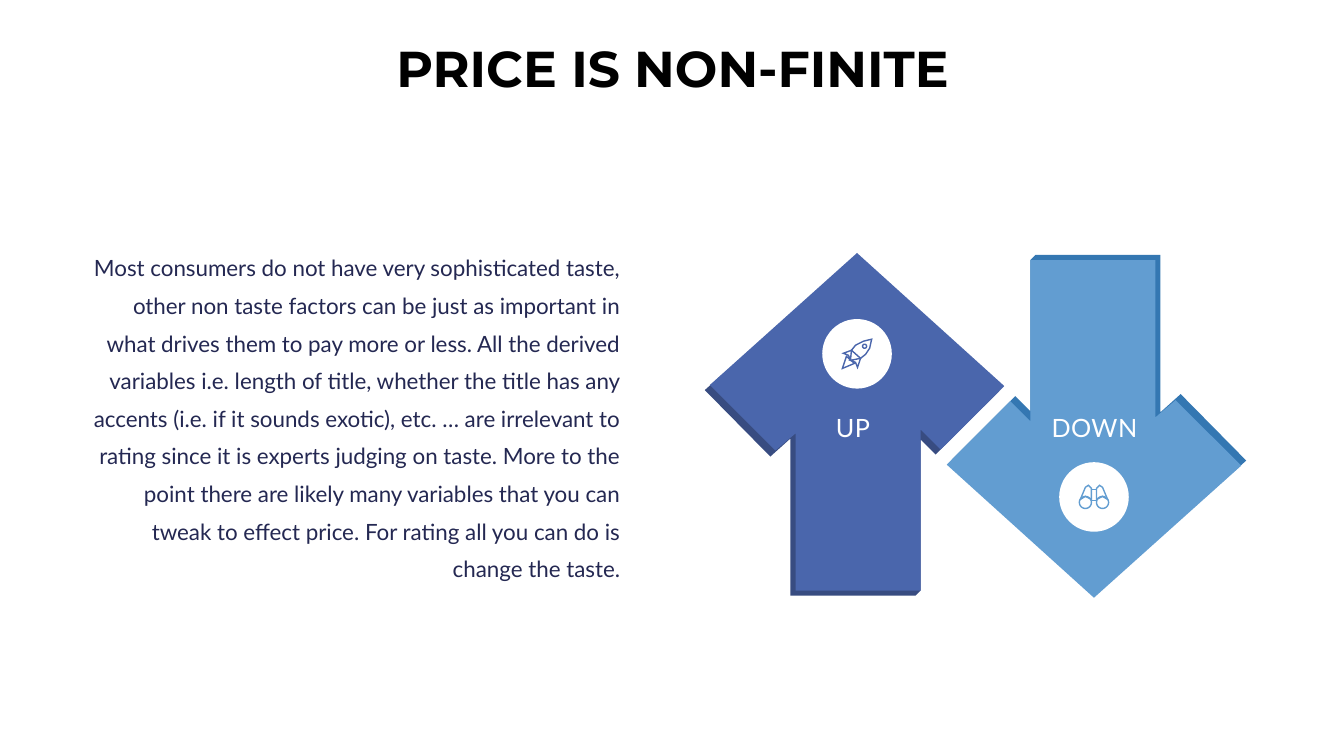
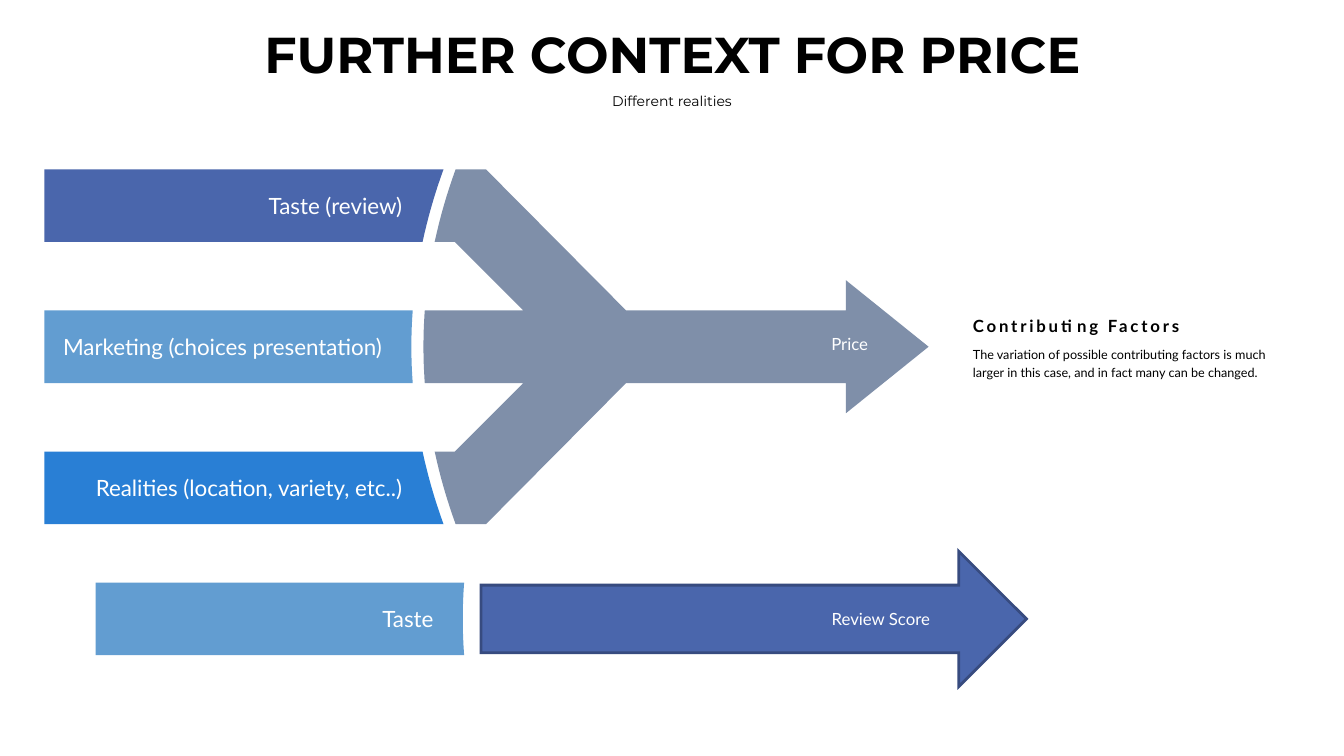
from math import cos, pi, sin

from lxml.etree import SubElement
from pptx import Presentation
from pptx.dml.color import RGBColor
from pptx.enum.shapes import MSO_SHAPE
from pptx.enum.text import MSO_ANCHOR, MSO_AUTO_SIZE, PP_ALIGN
from pptx.oxml.ns import qn
from pptx.util import Inches, Pt

BLACK, WHITE, NAVY = "000000", "FFFFFF", "242852"
INDIGO, SKY, AZURE, SLATE = "4A66AC", "629DD1", "297FD5", "7F8FA9"
INDIGO_SIDE, SKY_SIDE, INDIGO_LINE = "384C81", "3477B2", "374B7F"
BODY_FONT, TITLE_FONT = "Lato", "Montserrat"
TITLE_ONLY_LAYOUT = 5

ARROW_WIDTH, ARROW_HEIGHT, DISC_SIZE = 2.92, 3.35, 0.69
ARROW_FACE = [(1.46, 0), (2.92, 1.32), (2.29, 1.95), (2.09, 1.75), (2.09, 3.35),
              (0.85, 3.35), (0.85, 1.79), (0.65, 1.96), (0, 1.31)]
ARROW_SIDE = [(1.41, 0.06), (2.87, 1.37), (2.24, 2), (2.09, 1.85), (2.09, 3.35),
              (2.04, 3.4), (0.8, 3.4), (0.8, 1.84), (0.6, 2.02), (-0.05, 1.36)]
BAR_HEIGHT, BAR_LENGTH, EDGE_CURVE = 0.72, 3.64, 0.103


def circle(center_x, center_y, radius, steps=24):
    """Return points around a circle."""
    angles = [2 * pi * step / steps for step in range(steps)]
    return [(center_x + radius * cos(angle), center_y + radius * sin(angle)) for angle in angles]


def mirror(points, width):
    """Return points mirrored from left to right within a width."""
    return [(width - x, y) for x, y in points]


ICON_WIDTH = 0.31
ROCKET = [
    [(0.3, 0.01), (0.22, 0.03), (0.14, 0.07), (0.1, 0.12), (0.19, 0.2), (0.24, 0.16), (0.28, 0.1)],
    [(0.1, 0.12), (0.02, 0.15), (0.07, 0.17), (0.09, 0.22)],
    [(0.19, 0.2), (0.16, 0.29), (0.14, 0.24), (0.09, 0.22)],
    [(0.05, 0.18), (0.01, 0.3), (0.13, 0.25)],
    circle(0.23, 0.08, 0.02),
]
LENS = circle(0.07, 0.18, 0.06)
BARREL = [(0.02, 0.15), (0.07, 0.03), (0.1, 0.01), (0.13, 0.04), (0.13, 0.15), (0.07, 0.12)]
BINOCULARS = [LENS, mirror(LENS, ICON_WIDTH), BARREL, mirror(BARREL, ICON_WIDTH),
              [(0.13, 0.05), (0.18, 0.05), (0.18, 0.16), (0.13, 0.16)]]


def color(value):
    """Turn a hex string into a colour."""
    return RGBColor.from_string(value)


def paint(shape, fill=None, line=None, line_width=1):
    """Give a shape its fill and sharp-cornered line, without a shadow."""
    shape.shadow.inherit = False
    if fill:
        shape.fill.solid()
        shape.fill.fore_color.rgb = color(fill)
    else:
        shape.fill.background()
    if line:
        shape.line.color.rgb = color(line)
        shape.line.width = Pt(line_width)
        SubElement(shape._element.spPr.find(qn("a:ln")), qn("a:miter"), lim="800000")
    else:
        shape.line.fill.background()
    return shape


def add_preset(slide, kind, box, **style):
    """Add a painted preset shape."""
    shape = slide.shapes.add_shape(kind, *[Inches(length) for length in box])
    return paint(shape, **style)


def add_outline(slide, contours, origin, **style):
    """Add one painted shape from closed contours relative to an origin."""
    places = [[(Inches(origin[0] + x), Inches(origin[1] + y)) for x, y in contour]
              for contour in contours]
    builder = slide.shapes.build_freeform(*places[0][0])
    for index, contour in enumerate(places):
        if index:
            builder.move_to(*contour[0])
        builder.add_line_segments(contour[1:], close=True)
    return paint(builder.convert_to_shape(), **style)


def format_paragraph(paragraph, size, font=BODY_FONT, fill=BLACK, bold=False,
                     align=PP_ALIGN.LEFT, line_spacing=1.0, tracking=0):
    """Set the look of one paragraph."""
    paragraph.alignment = align
    paragraph.line_spacing = line_spacing
    paragraph.font.size = Pt(size)
    paragraph.font.name = font
    paragraph.font.bold = bold
    paragraph.font.color.rgb = color(fill)
    for run in paragraph.runs:
        if tracking:
            run.font._element.set("spc", str(round(tracking * 100)))


def add_text(slide, box, text, size, margin=0.1, **style):
    """Add a wrapping text box with one paragraph."""
    frame = slide.shapes.add_textbox(*[Inches(length) for length in box]).text_frame
    frame.word_wrap = True
    frame.margin_left = frame.margin_right = Inches(margin)
    frame.text = text
    format_paragraph(frame.paragraphs[0], size, **style)
    return frame


def set_label(shape, text, size, right, top=0.05):
    """Write a white label at the right end of a shape."""
    frame = shape.text_frame
    frame.word_wrap = True
    frame.vertical_anchor = MSO_ANCHOR.MIDDLE
    frame.margin_right = Inches(right)
    frame.margin_top = Inches(top)
    frame.text = text
    format_paragraph(frame.paragraphs[0], size, fill=WHITE, align=PP_ALIGN.RIGHT)


def add_titled_slide(presentation, text, top):
    """Add a slide with its centred title."""
    slide = presentation.slides.add_slide(presentation.slide_layouts[TITLE_ONLY_LAYOUT])
    title = slide.shapes.title
    title.left, title.top = Inches(2.17), Inches(top)
    title.width, title.height = Inches(9), Inches(0.7)
    frame = title.text_frame
    frame.auto_size = MSO_AUTO_SIZE.NONE
    frame.vertical_anchor = MSO_ANCHOR.TOP
    frame.text = text
    format_paragraph(frame.paragraphs[0], 36, font=TITLE_FONT, bold=True, align=PP_ALIGN.CENTER)
    return slide


def draw_block_arrow(slide, left, top, label, label_box, face, side, icon, icon_height,
                     flipped=False):
    """Draw a solid-looking arrow with an icon and a label, pointing up unless flipped."""
    def turn(points):
        """Turn points half round when the arrow is flipped."""
        return [(ARROW_WIDTH - x, ARROW_HEIGHT - y) for x, y in points] if flipped else points

    add_outline(slide, [turn(ARROW_SIDE)], (left, top), fill=side)
    add_outline(slide, [turn(ARROW_FACE)], (left, top), fill=face)
    icon_x, icon_y = turn([(1.46, 1)])[0]
    center_x, center_y = left + icon_x, top + icon_y
    add_preset(slide, MSO_SHAPE.OVAL, (center_x - DISC_SIZE / 2, center_y - DISC_SIZE / 2,
                                       DISC_SIZE, DISC_SIZE), fill=WHITE)
    add_outline(slide, icon, (center_x - ICON_WIDTH / 2, center_y - icon_height / 2), line=face)
    label_left, label_top, label_width, label_height = label_box
    add_text(slide, (left + label_left, top + label_top, label_width, label_height), label, 18,
             fill=WHITE, align=PP_ALIGN.CENTER, tracking=0.3)


def curved_edge(start, end, steps=8):
    """Return points of the shared curve between two heights from its middle."""
    heights = [start + (end - start) * step / steps for step in range(steps + 1)]
    return [(EDGE_CURVE * height ** 2, height) for height in heights]


def draw_bar(slide, left, top, center, label, fill, label_gap):
    """Draw a labelled bar whose right end follows the curve around a centre height."""
    edge = [(BAR_LENGTH + x, y + center - top)
            for x, y in curved_edge(top - center, top + BAR_HEIGHT - center)]
    bar = add_outline(slide, [[(0, BAR_HEIGHT), (0, 0)] + edge], (left, top), fill=fill)
    reach = max(x for x, _ in edge)
    set_label(bar, label, 16, reach - BAR_LENGTH + label_gap)


def draw_merging_arrow(slide, left, center, label):
    """Draw three branches that merge into one labelled arrow."""
    lower = (curved_edge(0, 0.36) + [(0.99, 0.36), (0.31, 1.04)] + curved_edge(1.04, 1.76)
             + [(0.62, 1.76), (2.01, 0.36), (4.19, 0.36), (4.19, 0.66), (5.01, 0)])
    upper = [(x, -y) for x, y in reversed(lower[1:-1])]
    arrow = add_outline(slide, [lower + upper], (left, center), fill=SLATE)
    set_label(arrow, label, 12, 0.6, top=0)


def draw_factors(slide, left, top):
    """Write the heading and text beside the merging arrow."""
    frame = add_text(slide, (left, top, 3.37, 0.8), "Contributing Factors", 12, margin=0.13,
                     bold=True, line_spacing=1.2, tracking=2)
    detail = frame.add_paragraph()
    detail.text = ("The variation of possible contributing factors is much larger in this case, "
                   "and in fact many can be changed.")
    format_paragraph(detail, 9, line_spacing=1.2)
    detail.space_before = Pt(6)


def build_price_slide(presentation):
    """Build the slide with the up and down arrows."""
    slide = add_titled_slide(presentation, "PRICE IS NON-FINITE", 0.32)
    add_text(slide, (0.72, 2.37, 5.53, 3.82),
             "Most consumers do not have very sophisticated taste, other non taste factors can be "
             "just as important in what drives them to pay more or less. All the derived variables "
             "i.e. length of title, whether the title has any accents (i.e. if it sounds exotic), "
             "etc. … are irrelevant to rating since it is experts judging on taste. More to the "
             "point there are likely many variables that you can tweak to effect price. For rating "
             "all you can do is change the taste.",
             16, fill=NAVY, align=PP_ALIGN.RIGHT, line_spacing=1.4)
    draw_block_arrow(slide, 7.04, 2.51, "UP", (1.1, 1.53, 0.64, 0.4),
                     INDIGO, INDIGO_SIDE, ROCKET, 0.31)
    draw_block_arrow(slide, 9.39, 2.58, "DOWN", (0.94, 1.46, 1.05, 0.4),
                     SKY, SKY_SIDE, BINOCULARS, 0.25, flipped=True)


def build_context_slide(presentation):
    """Build the slide with the merging factors."""
    slide = add_titled_slide(presentation, "FURTHER CONTEXT FOR PRICE", 0.18)
    add_text(slide, (4.43, 0.87, 4.47, 0.27), "Different realities", 10,
             font=TITLE_FONT, align=PP_ALIGN.CENTER)
    center = 3.44
    draw_merging_arrow(slide, 4.2, center, "Price")
    bars = [("Taste (review)", INDIGO, 0.09),
            ("Marketing (choices presentation)", SKY, 0.29),
            ("Realities (location, variety, etc..)", AZURE, 0.09)]
    for index, (label, fill, label_gap) in enumerate(bars):
        draw_bar(slide, 0.44, 1.68 + 1.4 * index, center, label, fill, label_gap)
    draw_factors(slide, 9.52, 3.04)
    score_arrow = add_preset(slide, MSO_SHAPE.RIGHT_ARROW, (4.77, 5.47, 5.41, 1.34),
                             fill=INDIGO, line=INDIGO_LINE, line_width=2)
    set_label(score_arrow, "Review Score", 12, 0.62)
    draw_bar(slide, 0.95, 5.78, 6.14, "Taste", SKY, 0.29)


def main():
    """Build and save the presentation."""
    presentation = Presentation()
    presentation.slide_width, presentation.slide_height = Inches(13.33), Inches(7.5)
    build_price_slide(presentation)
    build_context_slide(presentation)
    presentation.save("out.pptx")


if __name__ == "__main__":
    main()
